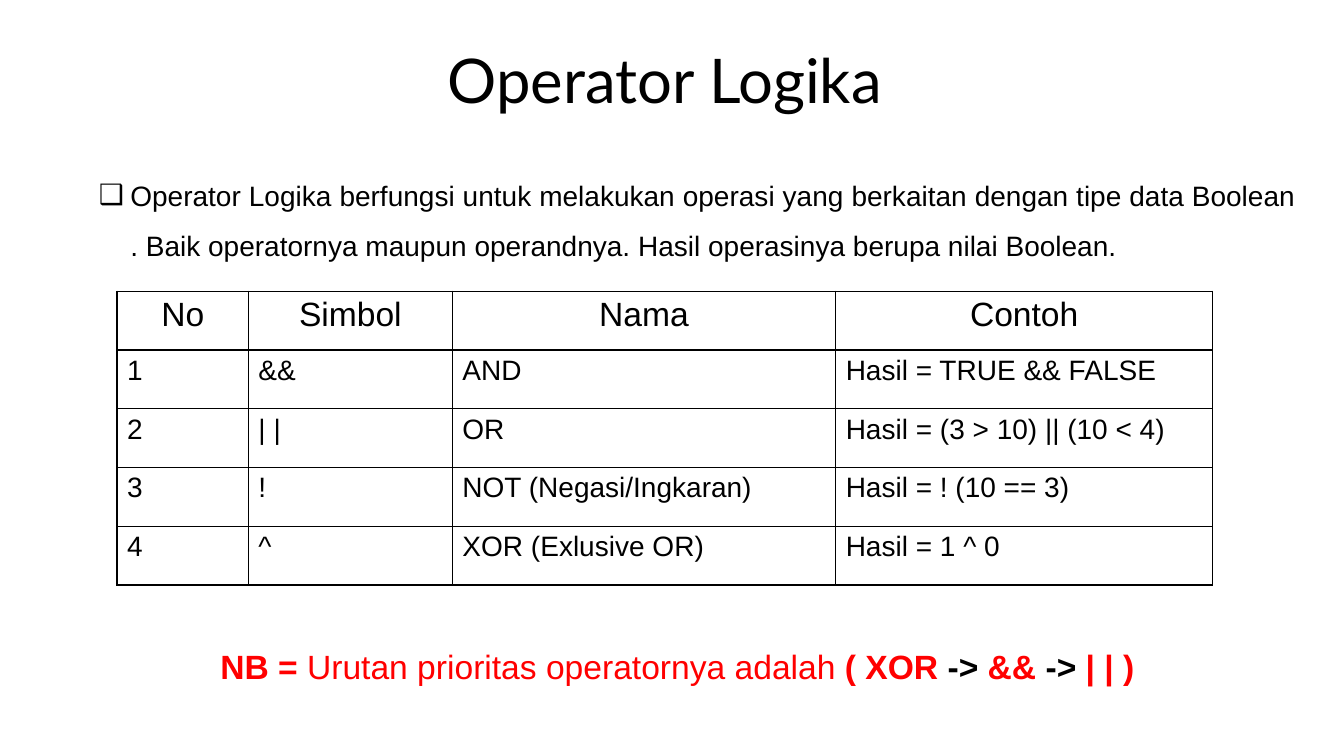
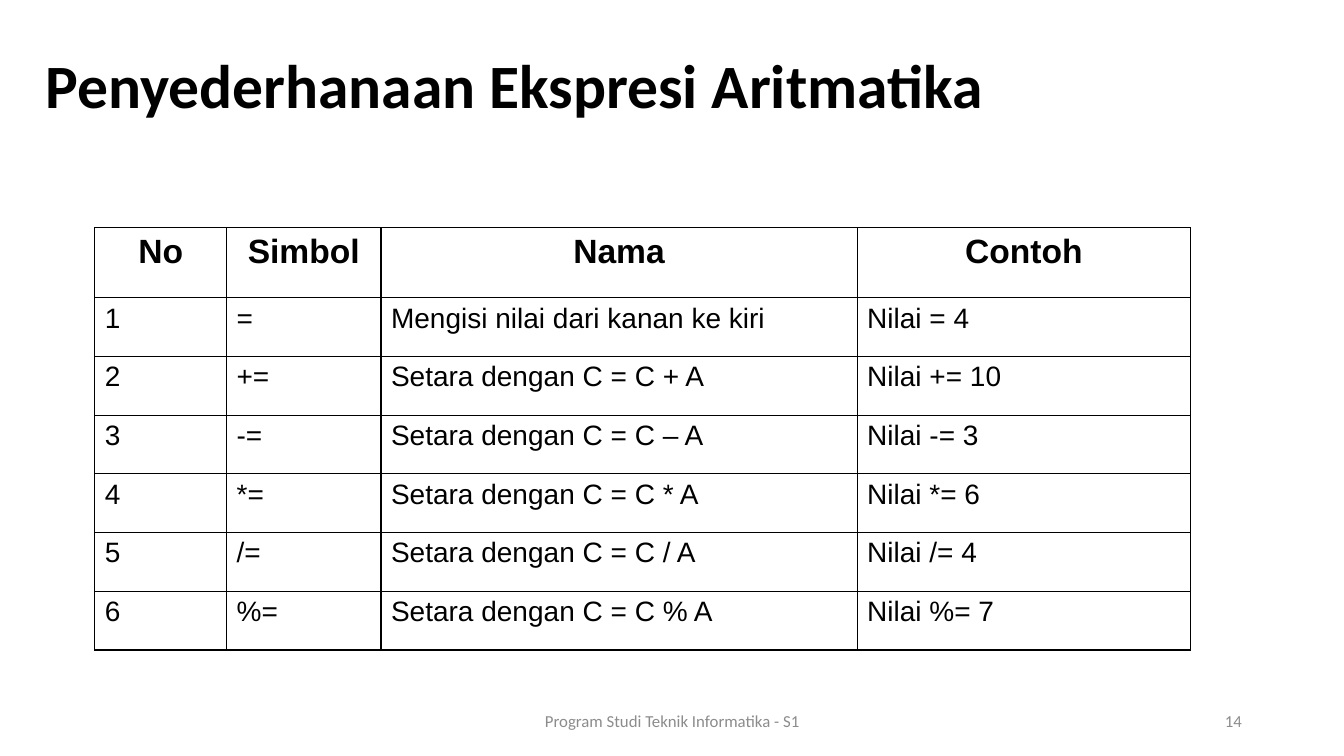
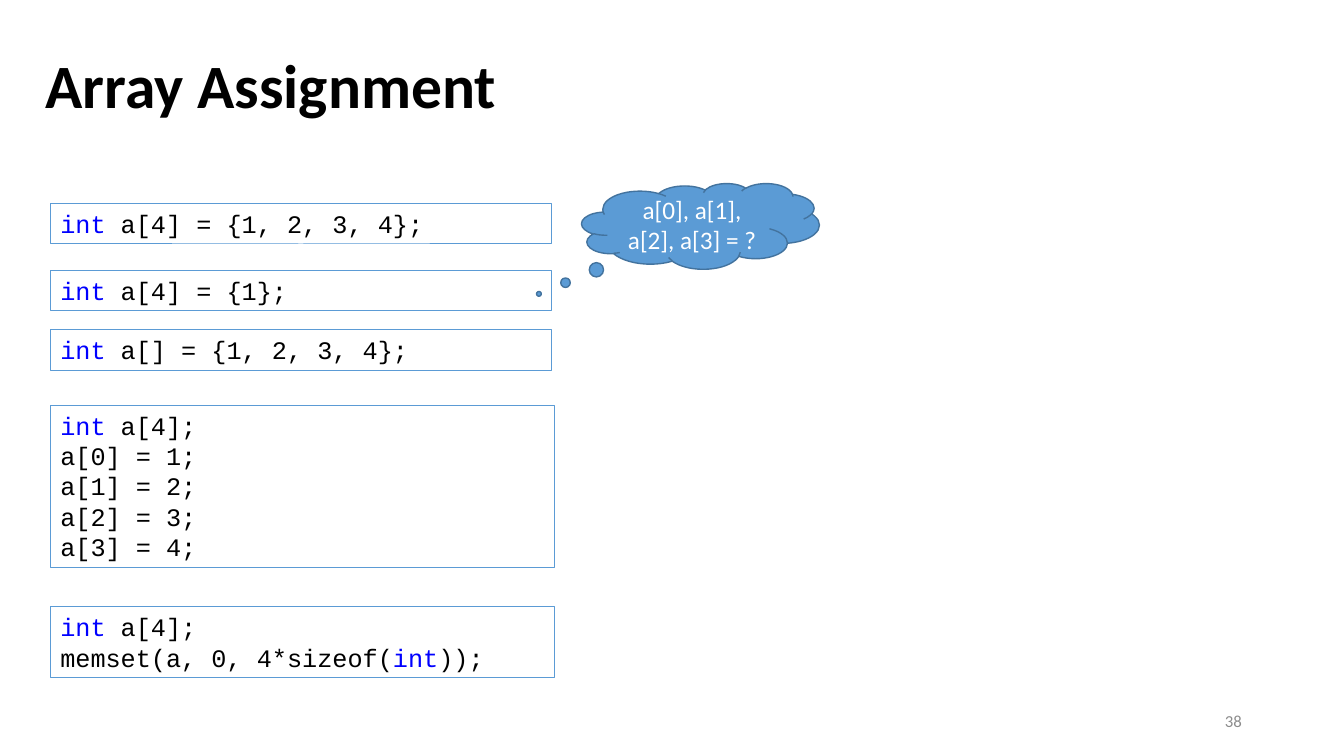
from lxml import etree
from pptx import Presentation, util as u
from pptx.dml import color
from pptx.enum import shapes, text
from pptx.oxml import ns

Cm = u.Cm
mid = text.MSO_ANCHOR.MIDDLE
left, center, right, full = (text.PP_ALIGN.LEFT, text.PP_ALIGN.CENTER,
                             text.PP_ALIGN.RIGHT, text.PP_ALIGN.JUSTIFY)
black, red, blue, gray, white = "000000", "FF0000", "0000FF", "8C8C8C", "FFFFFF"
sky, navy = "5B9BD5", "43739E"
hue = color.RGBColor.from_string


def say(para, words, size, face="Arial", tint=black, bold=False):
    run = para.add_run()
    run.text = words
    font = run.font
    font.size, font.name, font.bold = u.Pt(size), face, bold
    font.color.rgb = hue(tint)


def place(item, spot):
    item.left, item.top, item.width, item.height = [Cm(n) for n in spot]
    frame = item.text_frame
    frame.word_wrap = True
    frame.auto_size = text.MSO_AUTO_SIZE.NONE
    return frame


deck = Presentation()
deck.slide_width, deck.slide_height = Cm(33.87), Cm(19.05)

side = (0.89, 0.38, 27.89, 3.68)
heads = [
    (1, "Operator Logika", (2.77, 1.09, 27.97, 2.03), center, "Lato", False),
    (5, "Penyederhanaan Ekspresi Aritmatika", side, left, "Calibri", True),
    (5, "Array Assignment", side, left, "Calibri", True),
]
for kind, words, spot, align, face, bold in heads:
    slide = deck.slides.add_slide(deck.slide_layouts[kind])
    frame = place(slide.shapes.title, spot)
    frame.vertical_anchor = mid
    para = frame.paragraphs[0]
    para.alignment, para.line_spacing = align, 0.9
    say(para, words, 44, face, bold=bold)
logic, short, array = deck.slides

frame = place(logic.placeholders[1], (0.97, 3.94, 31.95, 2.82))
para = frame.paragraphs[0]
props = para._p.get_or_add_pPr()
props.set("marL", str(Cm(2.06)))
props.set("indent", str(Cm(-0.79)))
tone = etree.SubElement(props, ns.qn("a:buClr"))
etree.SubElement(tone, ns.qn("a:srgbClr")).set("val", black)
etree.SubElement(props, ns.qn("a:buChar")).set("char", "❑")
para.alignment, para.line_spacing, para.space_before = full, 1.5, u.Pt(0)
say(para, "Operator Logika berfungsi untuk melakukan operasi yang berkaitan dengan "
    "tipe data Boolean . Baik operatornya maupun operandnya. Hasil operasinya "
    "berupa nilai Boolean.", 20)

top = ("No", "Simbol", "Nama", "Contoh")
grids = [
    (logic, 2.95, 7.34, (3.31, 5.14, 9.66, 9.5), 1.48, False, [
        ("&&", "AND", "Hasil = TRUE && FALSE"),
        ("| |", "OR", "Hasil = (3 > 10) || (10 < 4)"),
        ("!", "NOT (Negasi/Ingkaran)", "Hasil = ! (10 == 3)"),
        ("^", "XOR (Exlusive OR)", "Hasil = 1 ^ 0"),
    ]),
    (short, 2.39, 5.74, (3.32, 3.89, 12, 8.41), 1.76, True, [
        ("=", "Mengisi nilai dari kanan ke kiri", "Nilai = 4"),
        ("+=", "Setara dengan C = C + A", "Nilai += 10"),
        ("-=", "Setara dengan C = C – A", "Nilai -= 3"),
        ("*=", "Setara dengan C = C * A", "Nilai *= 6"),
        ("/=", "Setara dengan C = C / A", "Nilai /= 4"),
        ("%=", "Setara dengan C = C % A", "Nilai %= 7"),
    ]),
]
for slide, x, y, wides, first, bold, body in grids:
    rows = [top] + [(str(n), *row) for n, row in enumerate(body, 1)]
    highs = [first] + [1.48] * len(body)
    table = slide.shapes.add_table(len(rows), len(top), Cm(x), Cm(y),
                                   Cm(sum(wides)), Cm(sum(highs))).table
    table.first_row = table.horz_banding = False
    for col, wide in zip(table.columns, wides):
        col.width = Cm(wide)
    for r, row in enumerate(rows):
        table.rows[r].height = Cm(highs[r])
        for c, words in enumerate(row):
            cell = table.cell(r, c)
            props = cell._tc.get_or_add_tcPr()
            for edge in ("lnL", "lnR", "lnT", "lnB"):
                line = etree.SubElement(props, ns.qn("a:" + edge))
                line.set("w", str(u.Pt(1)))
                ink = etree.SubElement(line, ns.qn("a:solidFill"))
                etree.SubElement(ink, ns.qn("a:srgbClr")).set("val", black)
            cell.fill.background()
            para = cell.text_frame.paragraphs[0]
            para.alignment = left if r else center
            say(para, words, 20 if r else 24, bold=bold and r == 0)

note = logic.shapes.add_textbox(0, 0, 0, 0)
para = place(note, (0.46, 15.65, 31.95, 1.8)).paragraphs[0]
para._p.get_or_add_pPr().set("marL", str(Cm(1.27)))
para.alignment, para.line_spacing = center, 1.5
for words, tint, bold in [
    ("NB = ", red, True),
    ("Urutan prioritas operatornya adalah ", red, False),
    ("( XOR ", red, True),
    ("->", black, True),
    (" && ", red, True),
    ("->", black, True),
    (" | | )", red, True),
]:
    say(para, words, 24, tint=tint, bold=bold)

for slide, words, x, wide, align in [
    (short, "Program Studi Teknik Informatika - S1", 11.23, 11.43, center),
    (short, "14", 23.93, 7.62, right),
    (array, "38", 23.93, 7.62, right),
]:
    frame = place(slide.shapes.add_textbox(0, 0, 0, 0), (x, 17.65, wide, 1.02))
    frame.vertical_anchor = mid
    frame.paragraphs[0].alignment = align
    say(frame.paragraphs[0], words, 12, "Calibri", gray)

codes = [
    (5.13, 12.62, ["int a[4] = {1, 2, 3, 4};"]),
    (6.81, 12.62, ["int a[4] = {1};"]),
    (8.31, 12.62, ["int a[] = {1, 2, 3, 4};"]),
    (10.21, 12.7, ["int a[4];"] + [f"a[{n}] = {n + 1};" for n in range(4)]),
    (15.29, 12.7, ["int a[4];", "memset(a, 0, 4*sizeof(int));"]),
]
for y, wide, lines in codes:
    box = array.shapes.add_shape(shapes.MSO_SHAPE.RECTANGLE, 0, 0, 0, 0)
    box.shadow.inherit = False
    box.fill.background()
    box.line.color.rgb, box.line.width = hue(sky), u.Pt(0.75)
    frame = place(box, (1.27, y, wide, 0.25 + 0.77 * len(lines)))
    frame.vertical_anchor = text.MSO_ANCHOR.TOP
    for n, line in enumerate(lines):
        para = frame.add_paragraph() if n else frame.paragraphs[0]
        para.alignment = left
        for k, part in enumerate(line.split("int")):
            if k:
                say(para, "int", 18, "Courier New", blue)
            if part:
                say(para, part, 18, "Courier New")

cloud = array.shapes.add_shape(shapes.MSO_SHAPE.CLOUD_CALLOUT, 0, 0, 0, 0)
cloud.shadow.inherit = False
cloud.adjustments[0], cloud.adjustments[1] = -0.68, 0.79
cloud.fill.solid()
cloud.fill.fore_color.rgb = hue(sky)
cloud.line.color.rgb, cloud.line.width = hue(navy), u.Pt(1)
frame = place(cloud, (14.66, 4.62, 5.99, 2.16))
frame.vertical_anchor = mid
frame.paragraphs[0].alignment = center
say(frame.paragraphs[0], "a[0], a[1], a[2], a[3] = ?", 18, "Calibri", white)

deck.save("out.pptx")
